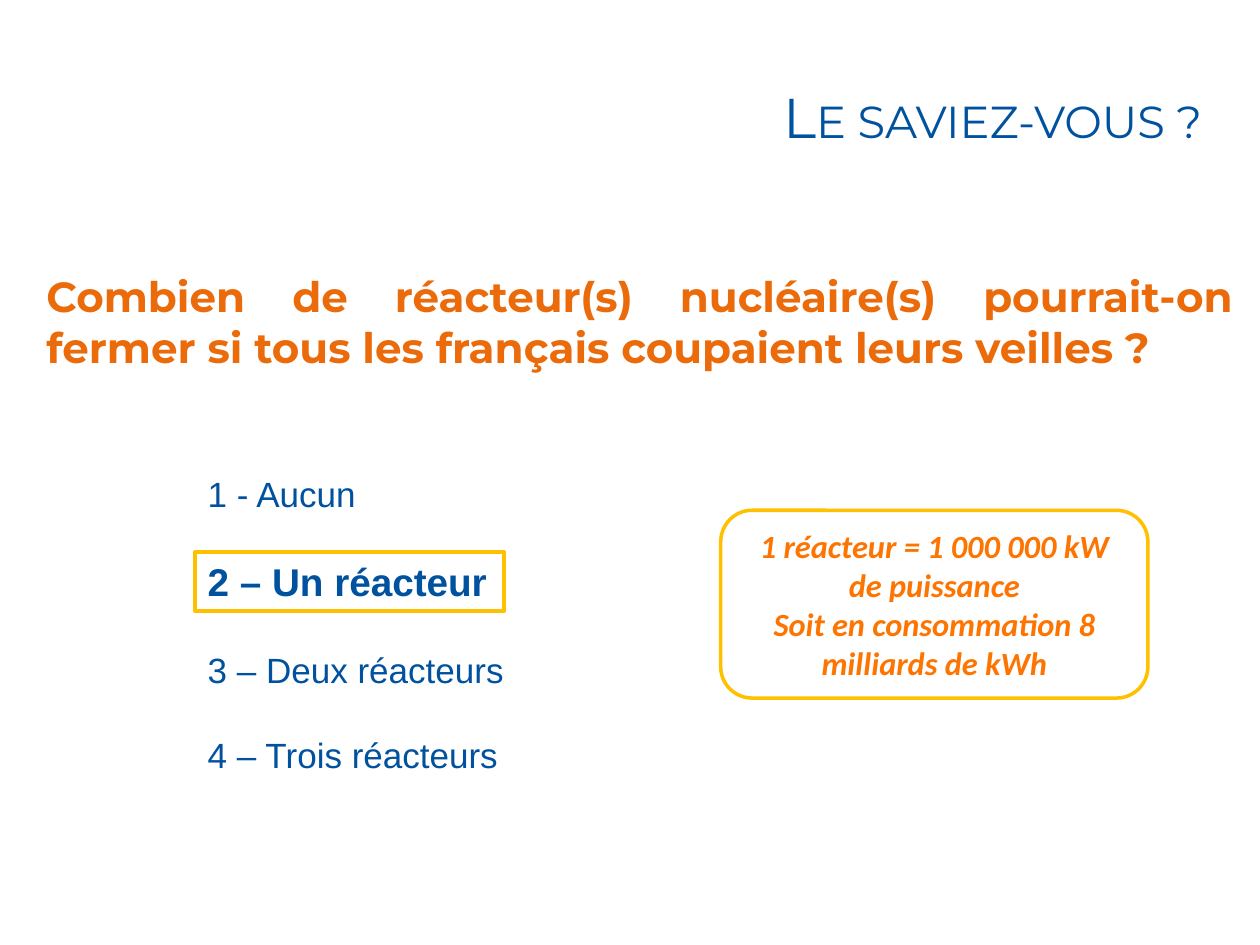
from pptx import Presentation
from pptx.dml.color import RGBColor
from pptx.enum.shapes import MSO_SHAPE
from pptx.enum.text import MSO_ANCHOR, PP_ALIGN
from pptx.util import Inches, Pt

BLUE = RGBColor(0x00, 0x51, 0x9E)
ORANGE = RGBColor(0xEB, 0x6A, 0x0A)
BRIGHT_ORANGE = RGBColor(0xFE, 0x74, 0x00)
GOLD = RGBColor(0xFF, 0xC0, 0x00)
WHITE = RGBColor(0xFF, 0xFF, 0xFF)

LEFT, CENTER, RIGHT, JUSTIFY = (
    PP_ALIGN.LEFT, PP_ALIGN.CENTER, PP_ALIGN.RIGHT, PP_ALIGN.JUSTIFY)
TOP, MIDDLE = MSO_ANCHOR.TOP, MSO_ANCHOR.MIDDLE
RECTANGLE, ROUNDED = MSO_SHAPE.RECTANGLE, MSO_SHAPE.ROUNDED_RECTANGLE

TITLE = {"name": "Montserrat", "size": Pt(32), "bold": False}
QUESTION = {"name": "Montserrat", "size": Pt(24), "bold": True}
CHOICE = {"name": "Arial", "size": Pt(20), "bold": False}
ANSWER = {"name": "Arial", "size": Pt(22.1), "bold": True}
FACT = {"name": "Calibri", "size": Pt(18.5), "bold": True, "italic": True}


class QuizSlide:
    """Holds the slide and the way its elements are styled."""

    def __init__(self, presentation):
        self.slide = presentation.slides.add_slide(presentation.slide_layouts[5])

    def set_text(self, shape, lines, style, color, align=LEFT, anchor=TOP, wrap=True):
        frame = shape.text_frame
        frame.word_wrap = wrap
        frame.vertical_anchor = anchor
        frame.text = "\n".join(lines)
        for paragraph in frame.paragraphs:
            paragraph.alignment = align
            for run in paragraph.runs:
                for attribute, value in style.items():
                    setattr(run.font, attribute, value)
                run.font.color.rgb = color

    def title(self, text, box):
        title = self.slide.shapes.title
        title.left, title.top, title.width, title.height = map(Inches, box)
        self.set_text(title, [text], TITLE, BLUE, RIGHT, MIDDLE)
        for run in title.text_frame.paragraphs[0].runs:
            run.font._element.set("cap", "small")

    def text(self, text, box, style, color, **layout):
        textbox = self.slide.shapes.add_textbox(*map(Inches, box))
        self.set_text(textbox, [text], style, color, **layout)

    def frame(self, kind, lines, box, line_width, style, color, fill=None, **layout):
        shape = self.slide.shapes.add_shape(kind, *map(Inches, box))
        shape.shadow.inherit = False
        if fill is None:
            shape.fill.background()
        else:
            shape.fill.solid()
            shape.fill.fore_color.rgb = fill
        shape.line.color.rgb = GOLD
        shape.line.width = Pt(line_width)
        self.set_text(shape, lines, style, color, anchor=MIDDLE, **layout)


def main():
    presentation = Presentation()
    presentation.slide_width = Inches(10)
    presentation.slide_height = Inches(7.5)
    quiz = QuizSlide(presentation)

    # Title and question
    quiz.title("Le saviez-vous ?", (1.77, 0.3, 7.87, 1.24))
    quiz.text(
        "Combien de réacteur(s) nucléaire(s) pourrait-on fermer "
        "si tous les français coupaient leurs veilles ?",
        (0.27, 2.1, 9.61, 4.8), QUESTION, ORANGE, align=JUSTIFY)

    # Choices, with the right answer framed
    choices_left = 1.55
    choices = [
        ("1 - Aucun", 3.7, 1.39),
        ("3 – Deux réacteurs", 5.1, 2.57),
        ("4 – Trois réacteurs", 5.77, 2.52),
    ]
    for choice, top, width in choices:
        quiz.text(choice, (choices_left, top, width, 0.44), CHOICE, BLUE, wrap=False)
    quiz.frame(RECTANGLE, ["2 – Un réacteur"], (choices_left, 4.38, 2.45, 0.47),
               2.25, ANSWER, BLUE, wrap=False)

    # Explanation
    quiz.frame(
        ROUNDED,
        ["1 réacteur = 1 000 000 kW de puissance",
         "Soit en consommation 8 milliards de kWh"],
        (5.72, 4.05, 3.39, 1.49), 2, FACT, BRIGHT_ORANGE, fill=WHITE, align=CENTER)

    presentation.save("out.pptx")


if __name__ == "__main__":
    main()
